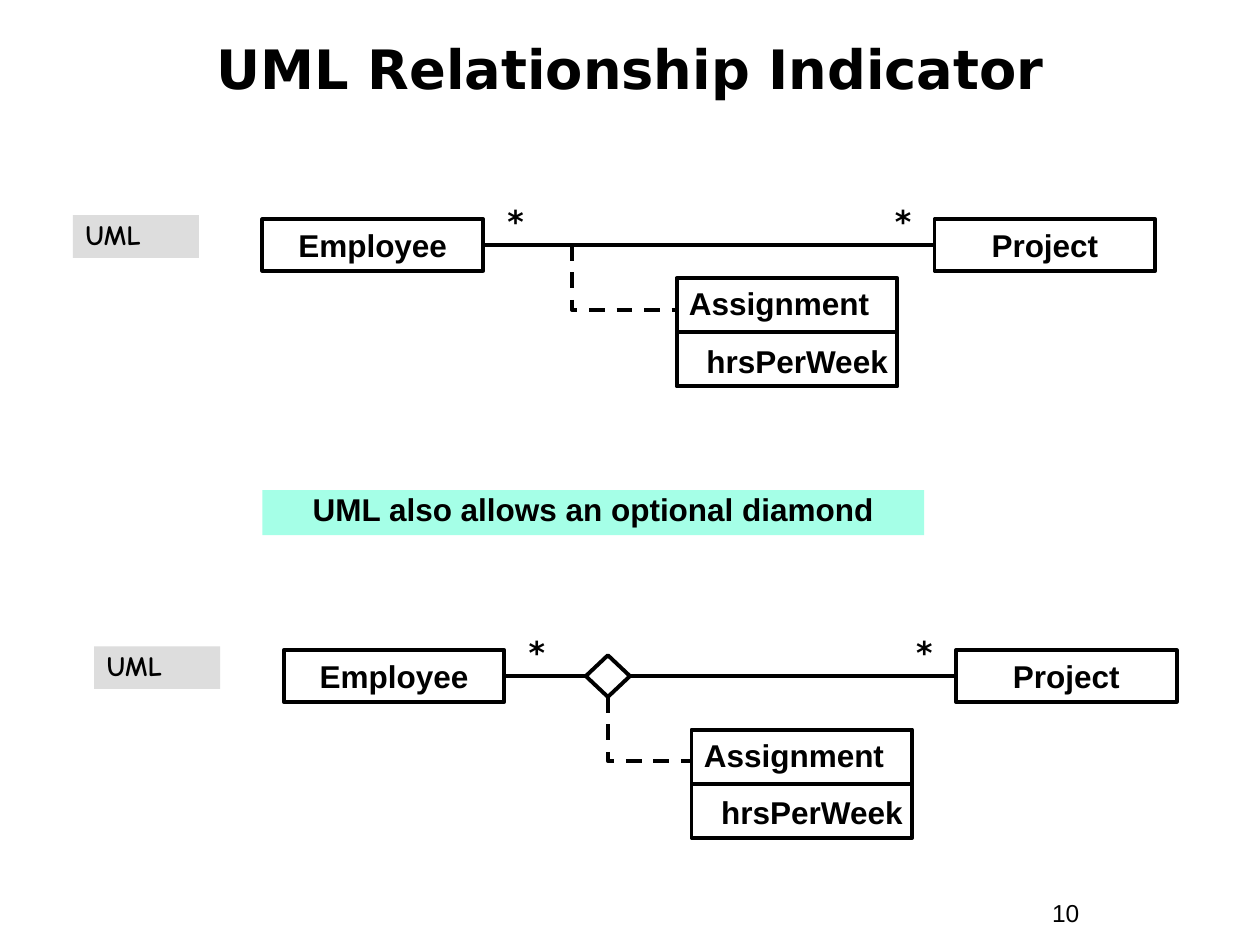
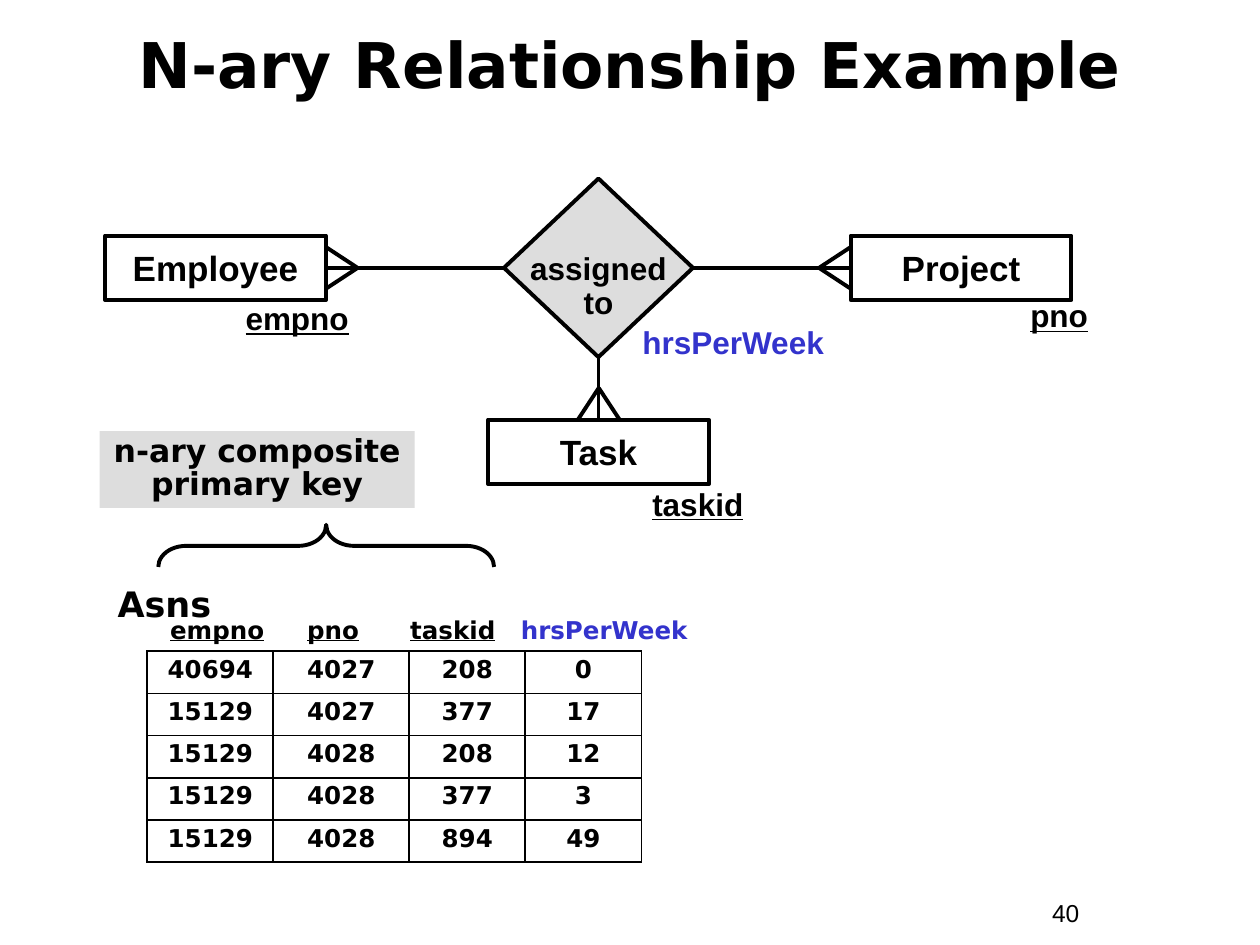
from dataclasses import dataclass

from lxml import etree
from pptx import Presentation
from pptx.dml.color import RGBColor
from pptx.enum.dml import MSO_LINE
from pptx.enum.shapes import MSO_CONNECTOR, MSO_SHAPE
from pptx.enum.text import MSO_ANCHOR, MSO_AUTO_SIZE, PP_ALIGN
from pptx.oxml.ns import qn
from pptx.util import Cm, Pt

LEFT, CENTER = PP_ALIGN.LEFT, PP_ALIGN.CENTER
TOP, MIDDLE = MSO_ANCHOR.TOP, MSO_ANCHOR.MIDDLE
RECT, DIAMOND = MSO_SHAPE.RECTANGLE, MSO_SHAPE.DIAMOND
DECISION, BRACE = MSO_SHAPE.FLOWCHART_DECISION, MSO_SHAPE.LEFT_BRACE
STRAIGHT, ELBOW = MSO_CONNECTOR.STRAIGHT, MSO_CONNECTOR.ELBOW
DASH, FIXED = MSO_LINE.DASH, MSO_AUTO_SIZE.NONE


@dataclass(frozen=True)
class Theme:
    ink: RGBColor = RGBColor.from_string("000000")
    blue: RGBColor = RGBColor.from_string("3333CC")
    gray: RGBColor = RGBColor.from_string("DDDDDD")
    mint: RGBColor = RGBColor.from_string("A5FFE7")
    sans: str = "Arial"
    wide: str = "DejaVu Sans"
    hand: str = "Comic Neue"
    large: float = 20
    body: float = 18
    tag: float = 16
    small: float = 14
    stroke: float = 2.25
    grid: float = 1.08


T = Theme()


def box(slide, place, text="", kind=None, fill=None, edge=False, font=T.sans,
        size=T.body, color=T.ink, bold=True, under=False, align=LEFT,
        anchor=TOP, space=1.0, wrap=True):
    """Add a text box, or a preset shape if a kind is given."""
    spot = [Cm(n) for n in place]
    if kind is None:
        shape = slide.shapes.add_textbox(*spot)
    else:
        shape = slide.shapes.add_shape(kind, *spot)
        shape.shadow.inherit = False
        if fill is None:
            shape.fill.background()
        else:
            shape.fill.solid()
            shape.fill.fore_color.rgb = fill
        if edge:
            shape.line.color.rgb = T.ink
            shape.line.width = Pt(T.stroke)
        else:
            shape.line.fill.background()
    frame = shape.text_frame
    frame.word_wrap = wrap
    frame.vertical_anchor = anchor
    frame.text = text
    for para in frame.paragraphs:
        para.alignment = align
        para.line_spacing = space
        for run in para.runs:
            run.font.name, run.font.size = font, Pt(size)
            run.font.bold, run.font.underline = bold, under
            run.font.color.rgb = color
    return shape


def link(slide, start, end, kind=STRAIGHT, dash=None):
    """Join two ends, each a point or a (shape, side) pair."""
    spots = [(0, 0) if hasattr(e[0], "text_frame") else (Cm(e[0]), Cm(e[1]))
             for e in (start, end)]
    line = slide.shapes.add_connector(kind, *spots[0], *spots[1])
    if hasattr(start[0], "text_frame"):
        line.begin_connect(*start)
    if hasattr(end[0], "text_frame"):
        line.end_connect(*end)
    line.line.color.rgb = T.ink
    line.line.width = Pt(T.stroke)
    if dash is not None:
        line.line.dash_style = dash
    etree.SubElement(line._element.spPr, qn("a:effectLst"))
    return line


deck = Presentation()
deck.slide_width, deck.slide_height = Cm(25.4), Cm(19.05)

# Titles and slide numbers
heads = [("UML Relationship Indicator", 0.2, 2.34, 31, "10"),
         ("N-ary Relationship Example", 0.43, 1.7, 36, "40")]
for text, top, height, size, number in heads:
    slide = deck.slides.add_slide(deck.slide_layouts[5])
    title = slide.shapes.title
    title.left, title.top = Cm(0.85), Cm(top)
    title.width, title.height = Cm(23.7), Cm(height)
    frame = title.text_frame
    frame.text = text
    frame.auto_size = FIXED
    frame.vertical_anchor = MIDDLE
    para = frame.paragraphs[0]
    para.alignment = CENTER
    font = para.runs[0].font
    font.name, font.size, font.bold = T.wide, Pt(size), True
    font.color.rgb = T.ink
    box(slide, (20.96, 17.98, 2.34, 0.86), number, size=T.small, bold=False)

uml, nary = deck.slides
node = dict(kind=RECT, edge=True, align=CENTER, anchor=MIDDLE, wrap=False)

# UML: the same model without and with a diamond
models = [(5.29, 4.42, 13.64, 5.61, (11.53, 4.94), False),
          (5.72, 13.11, 13.94, 14.71, (12.26, 14.05), True)]
for x, y, left, top, bend, has_gem in models:
    box(uml, (x - 3.82, y - 0.08, 2.54, 0.86), "UML", RECT, T.gray,
        font=T.hand, size=T.tag, space=0.9)
    staff = box(uml, (x, y, 4.45, 1.04), "Employee", **node)
    job = box(uml, (x + 13.55, y, 4.45, 1.04), "Project", **node)
    for shift, width in ((4.05, 2.11), (12.28, 1.27)):
        box(uml, (x + shift, y - 0.39, width, 0.94), "*", font=T.wide,
            align=CENTER, space=0.9)

    # Association line
    if has_gem:
        gem = box(uml, (11.81, y + 0.1, 0.89, 0.84), kind=DIAMOND, edge=True)
        link(uml, (staff, 3), (gem, 1))
        link(uml, (gem, 3), (job, 1))
    else:
        link(uml, (staff, 3), (job, 1))

    # Association class
    card = box(uml, (left, top, 4.45, 2.18), "Assignment\nhrsPerWeek", RECT,
               edge=True)
    card.text_frame.margin_right = 0
    field = card.text_frame.paragraphs[1]
    field.space_before = Pt(11.2)
    field._p.get_or_add_pPr().set("marL", str(Cm(0.35)))
    link(uml, (card, 1), (card, 3))

    # Dashed bend: down first, then right (a turned elbow)
    wide, high = left - bend[0], top + 0.64 - bend[1]
    midx, midy = bend[0] + wide / 2, bend[1] + high / 2
    elbow = link(uml, (midx + high / 2, midy - wide / 2),
                 (midx - high / 2, midy + wide / 2), ELBOW, DASH)
    props = elbow._element.spPr
    props.find(qn("a:xfrm")).set("rot", str(270 * 60000))
    props.find(qn("a:prstGeom")).set("prst", "bentConnector2")

box(uml, (5.29, 9.88, 13.34, 0.91), "UML also allows an optional diamond",
    RECT, T.mint, align=CENTER, space=0.85)

# N-ary: entities around the relationship
gem = box(nary, (10.16, 3.6, 3.81, 3.6), "assigned\vto", DECISION, T.gray,
          True, align=CENTER, space=0.9, wrap=False)
gem.text_frame.margin_top = Cm(0.61)
gem.text_frame.margin_bottom = 0
spots = [("Employee", 2.12, 4.75), ("Project", 17.15, 4.75),
         ("Task", 9.84, 8.46)]
staff, job, task = [box(nary, (x, y, 4.45, 1.3), name, size=T.large, **node)
                    for name, x, y in spots]
for start, end in (((staff, 3), (gem, 1)), ((gem, 3), (job, 1)),
                   ((gem, 2), (task, 0))):
    link(nary, start, end)

# Crow's feet: tip and step towards the entity
reach, spread = 0.64, 0.42
for x, y, dx, dy in ((7.21, 5.4, -1, 0), (16.51, 5.4, 1, 0),
                     (12.07, 7.82, 0, 1)):
    for side in (-spread, spread):
        link(nary, (x, y), (x + dx * reach + dy * side,
                            y + dy * reach + dx * side))

# Attributes
for text, x, y, width, color, under, space in (
        ("hrsPerWeek", 12.7, 6.48, 4.24, T.blue, False, 0.9),
        ("empno", 4.7, 6.02, 3.18, T.ink, True, 0.85),
        ("pno", 20.52, 5.97, 2.54, T.ink, True, 0.85),
        ("taskid", 12.9, 9.73, 2.54, T.ink, True, 0.9)):
    box(nary, (x, y, width, 0.94), text, color=color, under=under, space=space)

# Composite key note and brace
box(nary, (2.01, 8.69, 6.35, 1.55), "n-ary composite primary key", RECT,
    T.gray, font=T.wide, align=CENTER, space=0.85)
brace = box(nary, (6.15, 7.62, 0.85, 6.77), kind=BRACE, edge=True)
brace.rotation = 90
brace.adjustments[0] = 0.66

# Table name and column heads on tab stops
box(nary, (2.12, 11.61, 9.95, 1.12), "Asns", font=T.wide, size=T.large)
names = box(nary, (3.18, 12.27, 11.23, 0.86))
para = names.text_frame.paragraphs[0]
tabs = etree.SubElement(para._p.get_or_add_pPr(), qn("a:tabLst"))
for stop in (2.76, 4.84, 7.07):
    etree.SubElement(tabs, qn("a:tab"), pos=str(Cm(stop)), algn="l")
for text in ("empno", "\t", "pno", "\t", "taskid", "\t", "hrsPerWeek"):
    run = para.add_run()
    run.text = text
    run.font.name, run.font.size, run.font.bold = T.wide, Pt(T.small), True
    run.font.underline = text in ("empno", "pno", "taskid")
    run.font.color.rgb = T.blue if text == "hrsPerWeek" else T.ink

# Table of assignments
rows = [(40694, 4027, 208, 0), (15129, 4027, 377, 17), (15129, 4028, 208, 12),
        (15129, 4028, 377, 3), (15129, 4028, 894, 49)]
widths = (2.54, 2.74, 2.34, 2.34)
table = nary.shapes.add_table(len(rows), len(widths), Cm(2.97), Cm(13.13),
                              Cm(sum(widths)), Cm(0.85 * len(rows))).table
table.first_row = table.horz_banding = False
for col, width in zip(table.columns, widths):
    col.width = Cm(width)
for r, row in enumerate(rows):
    table.rows[r].height = Cm(0.85)
    for c, value in enumerate(row):
        cell = table.cell(r, c)
        cell.text = str(value)
        para = cell.text_frame.paragraphs[0]
        para.alignment, para.line_spacing = CENTER, 0.9
        font = para.runs[0].font
        font.name, font.size, font.bold = T.wide, Pt(T.small), True
        font.color.rgb = T.ink
        props = cell._tc.get_or_add_tcPr()
        for side in ("a:lnL", "a:lnR", "a:lnT", "a:lnB"):
            rule = etree.SubElement(props, qn(side), w=str(Pt(T.grid)))
            solid = etree.SubElement(rule, qn("a:solidFill"))
            etree.SubElement(solid, qn("a:srgbClr"), val=str(T.ink))
        cell.fill.background()

deck.save("out.pptx")
